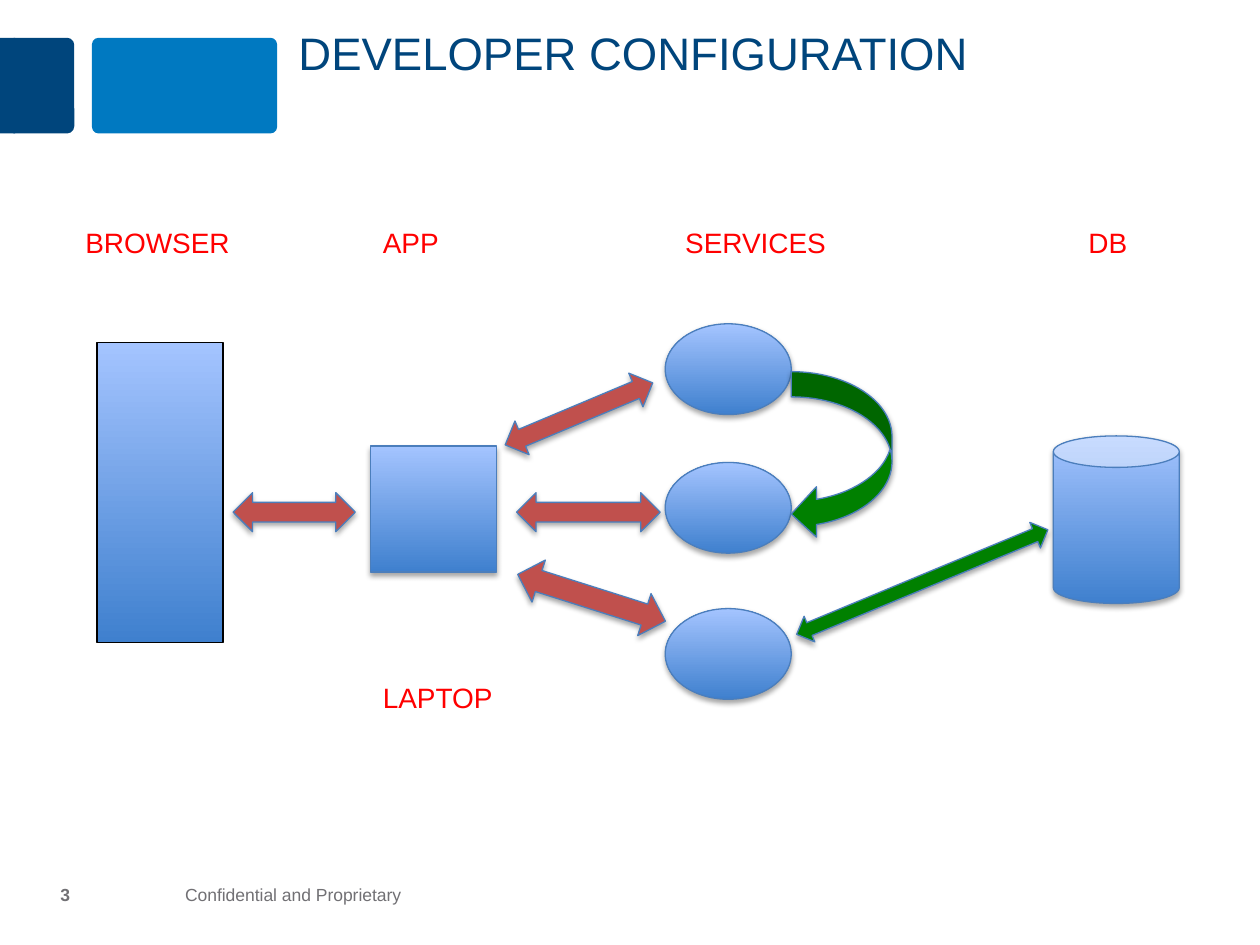
from lxml import etree
from pptx import Presentation
from pptx.dml.color import RGBColor
from pptx.enum.shapes import MSO_SHAPE
from pptx.enum.text import MSO_ANCHOR
from pptx.oxml.ns import qn
from pptx.util import Inches, Pt

RECT, ROUND = MSO_SHAPE.RECTANGLE, MSO_SHAPE.ROUNDED_RECTANGLE
OVAL, CAN = MSO_SHAPE.OVAL, MSO_SHAPE.CAN
DOUBLE_ARROW, CURVED_ARROW = MSO_SHAPE.LEFT_RIGHT_ARROW, MSO_SHAPE.CURVED_LEFT_ARROW
TOP, MIDDLE = MSO_ANCHOR.TOP, MSO_ANCHOR.MIDDLE

NAVY, BLUE, GREY, RED = "00457C", "0079C1", "717074", "FF0000"
BRICK, GREEN, BLACK, OUTLINE = "C0504D", "008000", "000000", "4B7EBC"
NODE_GRADIENT = ("3F80CE", "A4C4FF")


def color(value):
    return RGBColor.from_string(value)


def add_text(s, box, text, size, hex_color, bold=False, anchor=TOP, wrap=True):
    tf = s.shapes.add_textbox(*map(Inches, box)).text_frame
    tf.word_wrap = wrap
    tf.vertical_anchor = anchor
    r = tf.paragraphs[0].add_run()
    r.text = text
    for name, value in {"name": "Arial", "size": Pt(size), "bold": bold}.items():
        setattr(r.font, name, value)
    r.font.color.rgb = color(hex_color)


def add_block(s, kind, box, fill, line=None, rotation=0, shadow=False):
    """Add a shape; a pair of colours as fill makes a bottom-to-top gradient."""
    sp = s.shapes.add_shape(kind, *map(Inches, box))
    sp.rotation = rotation
    if isinstance(fill, tuple):
        sp.fill.gradient()
        sp.fill.gradient_angle = 90
        for stop, value in zip(sp.fill.gradient_stops, fill):
            stop.color.rgb = color(value)
    else:
        sp.fill.solid()
        sp.fill.fore_color.rgb = color(fill)
    if line:
        sp.line.color.rgb = color(line)
        sp.line.width = Pt(0.75)
    else:
        sp.line.fill.background()
    sp.shadow.inherit = False
    if shadow:
        add_shadow(sp)
    return sp


def add_shadow(sp):
    effects = sp._element.spPr.find(qn("a:effectLst"))
    outer = etree.SubElement(effects, qn("a:outerShdw"), blurRad=str(Pt(3.1)),
                             dist=str(Pt(1.8)), dir="5400000", rotWithShape="0")
    tint = etree.SubElement(outer, qn("a:srgbClr"), val=BLACK)
    etree.SubElement(tint, qn("a:alpha"), val="35000")


def add_header(s, x, y, w, h):
    # Navy tab running off the left edge, then the blue tab
    tab_h = 0.76
    tab_y = y + 0.15
    for left, width, radius, fill in ((0.73, 1.47, 0.07, BLUE), (0.06, 0.53, 0.107, NAVY)):
        tab = add_block(s, ROUND, (x + left, tab_y, width, tab_h), fill)
        tab.adjustments[0] = radius
    add_block(s, RECT, (x, tab_y, 0.12, tab_h), NAVY)
    # Title
    add_text(s, (x + 2.27, y, w - 2.27, h), "DEVELOPER CONFIGURATION", 26, NAVY)


def add_footer(s, x, y, w, h):
    add_text(s, (x, y, 1.39, h), "3", 10, GREY, bold=True, anchor=MIDDLE)
    add_text(s, (x + 0.99, y, w - 0.99, h), "Confidential and Proprietary", 10, GREY,
             anchor=MIDDLE)


def add_labels(s, x, y, h):
    labels = (
        ("BROWSER", 0, 0, 1.36),
        ("APP", 2.36, 0, 0.65),
        ("SERVICES", 4.76, 0, 1.33),
        ("DB", 7.96, 0, 0.51),
        ("LAPTOP", 2.36, 3.61, 1.08),
    )
    for text, dx, dy, w in labels:
        add_text(s, (x + dx, y + dy, w, h), text, 16, RED, wrap=False)


def add_diagram(s, x, y):
    # Browser, app, three services and database
    node_w = 1
    add_block(s, RECT, (x, y + 0.15, node_w, 2.38), NODE_GRADIENT, BLACK)
    nodes = [(RECT, 2.17, 0.97, 1), (CAN, 7.59, 0.89, 1.33)]
    nodes += [(OVAL, 4.51, dy, 0.72) for dy in (0, 1.1, 2.26)]
    for kind, dx, dy, h in nodes:
        add_block(s, kind, (x + dx, y + dy, node_w, h), NODE_GRADIENT, OUTLINE, shadow=True)

    # Calls between the nodes
    arrows = (
        (DOUBLE_ARROW, 1.08, 1.34, 0.97, 0.31, 0, BRICK),
        (DOUBLE_ARROW, 3.19, 0.57, 1.27, 0.29, 337.2, BRICK),
        (DOUBLE_ARROW, 3.33, 1.34, 1.14, 0.31, 0, BRICK),
        (DOUBLE_ARROW, 3.31, 2, 1.23, 0.35, 17.6, BRICK),
        (DOUBLE_ARROW, 5.47, 1.94, 2.16, 0.22, 337.4, GREEN),
        (CURVED_ARROW, 5.51, 0.38, 0.8, 1.33, 0, GREEN),
    )
    for kind, dx, dy, w, h, rotation, fill in arrows:
        add_block(s, kind, (x + dx, y + dy, w, h), fill, OUTLINE, rotation, shadow=True)


def main():
    prs = Presentation()
    prs.slide_width, prs.slide_height = Inches(10), Inches(7.5)
    s = prs.slides.add_slide(prs.slide_layouts[6])
    add_header(s, 0, 0.15, 9.56, 0.54)
    add_footer(s, 0.38, 6.9, 3.91, 0.4)
    add_diagram(s, 0.77, 2.57)
    add_labels(s, 0.58, 1.74, 0.37)
    prs.save("out.pptx")


if __name__ == "__main__":
    main()
